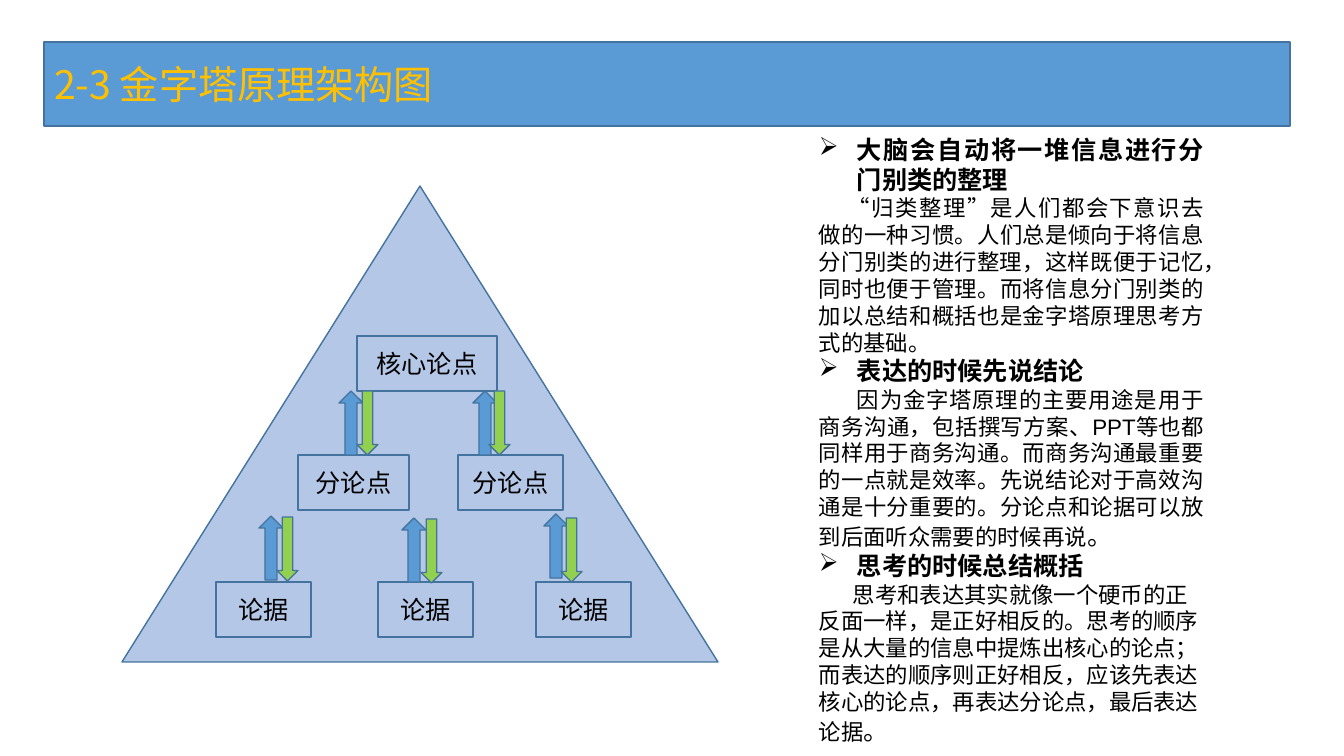
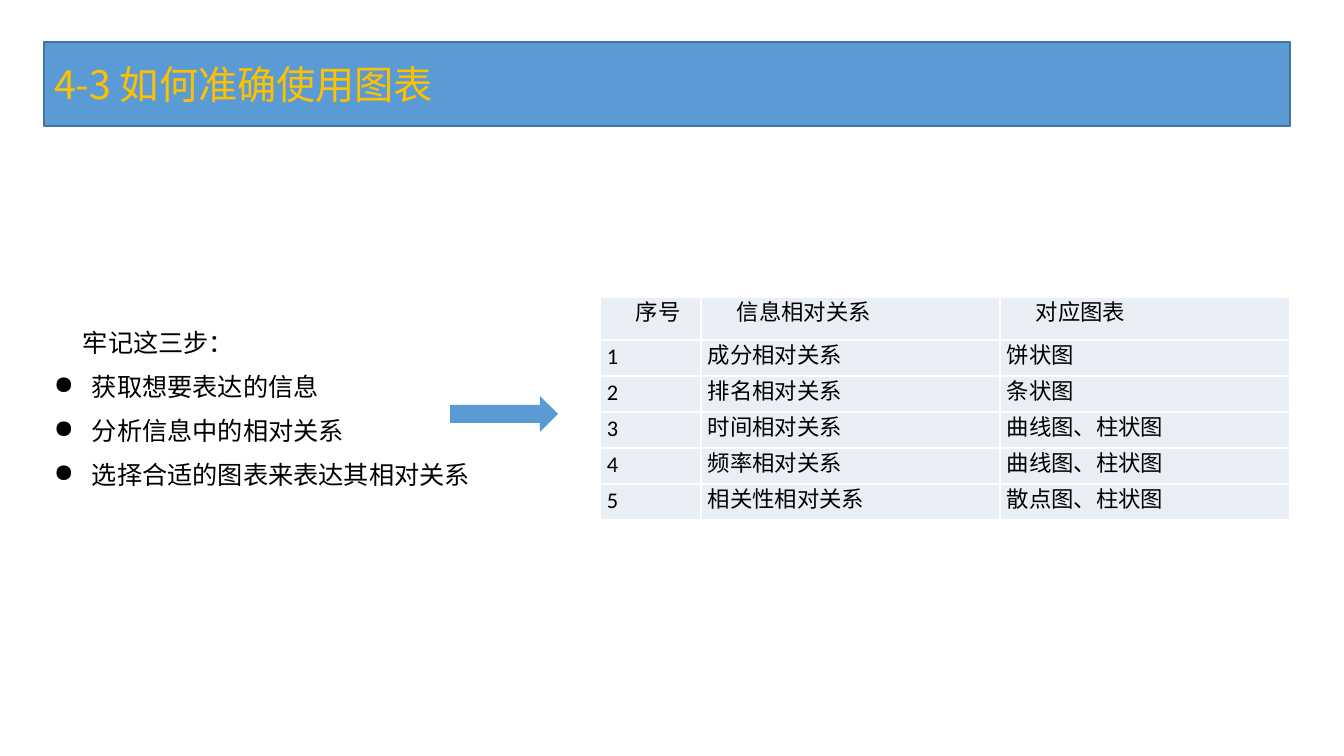
from lxml.etree import SubElement
from pptx import Presentation
from pptx.dml.color import RGBColor
from pptx.enum.shapes import MSO_SHAPE
from pptx.enum.text import MSO_ANCHOR, MSO_AUTO_SIZE, PP_ALIGN
from pptx.oxml.ns import qn
from pptx.util import Pt

PX = 9071  # EMU in one px
BLUE, EDGE, PALE, GREEN = "5B9BD5", "43739E", "B4C7E7", "92D050"
GOLD, BLACK, WHITE, CELL = "FFC000", "000000", "FFFFFF", "EAEFF7"
CJK = "Noto Sans CJK SC"


def draw(slide, kind, x, y, w, h, fill=None, line=EDGE):
    shape = slide.shapes.add_shape(kind, x * PX, y * PX, w * PX, h * PX)
    shape.shadow.inherit = False
    if fill:
        shape.fill.solid()
        shape.fill.fore_color.rgb = RGBColor.from_string(fill)
    else:
        shape.fill.background()
    if line:
        shape.line.color.rgb = RGBColor.from_string(line)
        shape.line.width = Pt(1)
    else:
        shape.line.fill.background()
    return shape


def write(frame, text, size=18, font="Arial", color=BLACK, bold=False,
          align=None, indent=0, bullet=None, lead=None, gap=0, tail=""):
    """Add one paragraph; tail is closing text set at 18 pt."""
    para = frame.paragraphs[-1]
    if para.runs:
        para = frame.add_paragraph()
        para.space_before = Pt(gap)
    para.alignment = align
    if lead:
        para.line_spacing = Pt(lead)
    props = para._p.get_or_add_pPr()
    if bullet:
        props.set("marL", str(38 * PX))
        props.set("indent", str(-38 * PX))
        SubElement(props, qn("a:buChar"), char=bullet)
    else:
        props.set("indent", str(indent * PX))
    for words, points in ((text, size), (tail, 18)):
        if words:
            run = para.add_run()
            run.text = words
            run.font.size = Pt(points)
            run.font.bold = bold
            run.font.name = font
            run.font.color.rgb = RGBColor.from_string(color)
            mark = run._r.get_or_add_rPr()
            mark.set("lang", "zh-CN")
            SubElement(mark, qn("a:ea"), typeface=CJK)


deck = Presentation()
deck.slide_width, deck.slide_height = 1344 * PX, 756 * PX

# Title band on every slide
slides = []
for name in ("2-3 金字塔原理架构图", "4-3 如何准确使用图表"):
    slide = deck.slides.add_slide(deck.slide_layouts[5])
    title = slide.shapes.title
    title.left, title.top = 44 * PX, 42 * PX
    title.width, title.height = 1246 * PX, 84 * PX
    geom = SubElement(title._element.spPr, qn("a:prstGeom"), prst="roundRect")
    SubElement(geom, qn("a:avLst"))
    title.fill.solid()
    title.fill.fore_color.rgb = RGBColor.from_string(BLUE)
    title.line.color.rgb = RGBColor.from_string(EDGE)
    title.line.width = Pt(1)
    frame = title.text_frame
    frame.auto_size = MSO_AUTO_SIZE.NONE
    frame.vertical_anchor = MSO_ANCHOR.MIDDLE
    write(frame, name, size=28, font=CJK, color=GOLD, align=PP_ALIGN.LEFT)
    slides.append(slide)
tower, guide = slides

# Pyramid
draw(tower, MSO_SHAPE.ISOSCELES_TRIANGLE, 122, 186, 596, 476, PALE)
tiers = [
    ("核心论点", 336, [(357, 140)]),
    ("分论点", 455, [(298, 111), (458, 105)]),
    ("论据", 582, [(216, 95), (378, 95), (536, 95)]),
]
for label, y, spans in tiers:
    for x, w in spans:
        box = draw(tower, MSO_SHAPE.RECTANGLE, x, y, w, 55)
        write(box.text_frame, label, align=PP_ALIGN.CENTER)

pairs = [
    ((339, 391), (357, 391)),
    ((473, 391), (489, 391)),
    ((259, 516), (277, 517)),
    ((402, 518), (421, 519)),
    ((544, 514), (561, 518)),
]
for up, down in pairs:
    draw(tower, MSO_SHAPE.UP_ARROW, *up, 24, 64, BLUE)
    draw(tower, MSO_SHAPE.DOWN_ARROW, *down, 21, 64, GREEN)

# Three principles
points = [
    ("大脑会自动将一堆信息进行分门别类的整理",
     "“归类整理”是人们都会下意识去做的一种习惯。人们总是倾向于将信息分门别类的进行整理，"
     "这样既便于记忆，同时也便于管理。而将信息分门别类的加以总结和概括也是金字塔原理思考方式的基础。",
     "", 29, PP_ALIGN.JUSTIFY),
    ("表达的时候先说结论",
     "因为金字塔原理的主要用途是用于商务沟通，包括撰写方案、PPT等也都同样用于商务沟通。"
     "而商务沟通最重要的一点就是效率。先说结论对于高效沟通是十分重要的。"
     "分论点和论据可以放到后面听众需要的时候再说",
     "。", 38, PP_ALIGN.JUSTIFY),
    ("思考的时候总结概括",
     "思考和表达其实就像一个硬币的正反面一样，是正好相反的。"
     "思考的顺序是从大量的信息中提炼出核心的论点；"
     "而表达的顺序则正好相反，应该先表达核心的论点，再表达分论点，最后表达论据",
     "。", 34, PP_ALIGN.LEFT),
]
frame = tower.shapes.add_textbox(809 * PX, 129 * PX, 405 * PX, 634 * PX).text_frame
frame.word_wrap = True
for head, body, tail, indent, align in points:
    write(frame, head, bold=True, bullet="➢", align=PP_ALIGN.JUSTIFY)
    write(frame, body, size=16, indent=indent, align=align, tail=tail)

# Chart choice table
rows = [
    ("序号", "信息相对关系", "对应图表"),
    ("1", "成分相对关系", "饼状图"),
    ("2", "排名相对关系", "条状图"),
    ("3", "时间相对关系", "曲线图、柱状图"),
    ("4", "频率相对关系", "曲线图、柱状图"),
    ("5", "相关性相对关系", "散点图、柱状图"),
]
table = guide.shapes.add_table(
    len(rows), 3, 600 * PX, 297 * PX, 690 * PX, 223 * PX).table
table.first_row = table.horz_banding = False
for col, w in zip(table.columns, (101, 299, 290)):
    col.width = w * PX
for r, row in enumerate(rows):
    table.rows[r].height = (36 if r else 43) * PX
    for c, text in enumerate(row):
        cell = table.cell(r, c)
        cell.margin_left = cell.margin_right = 7 * PX
        cell.margin_top, cell.margin_bottom = 15 * PX, 0
        for side in ("lnL", "lnR", "lnT", "lnB"):
            edge = SubElement(cell._tc.get_or_add_tcPr(), qn("a:" + side),
                              w=str(Pt(1)))
            SubElement(SubElement(edge, qn("a:solidFill")),
                       qn("a:srgbClr"), val=WHITE)
        cell.fill.solid()
        cell.fill.fore_color.rgb = RGBColor.from_string(CELL)
        write(cell.text_frame, text, size=16, font="Calibri", lead=11,
              indent=0 if r else 29)

# Three steps
frame = guide.shapes.add_textbox(44 * PX, 331 * PX, 436 * PX, 168 * PX).text_frame
frame.word_wrap = True
serif = {"font": "Times New Roman", "lead": 15.7, "gap": 15.7}
write(frame, "牢记这三步：", indent=29, **serif)
for step in ("获取想要表达的信息", "分析信息中的相对关系", "选择合适的图表来表达其相对关系"):
    write(frame, step, bullet="●", **serif)
draw(guide, MSO_SHAPE.RIGHT_ARROW, 450, 396, 108, 36, BLUE, None)

deck.save("out.pptx")
